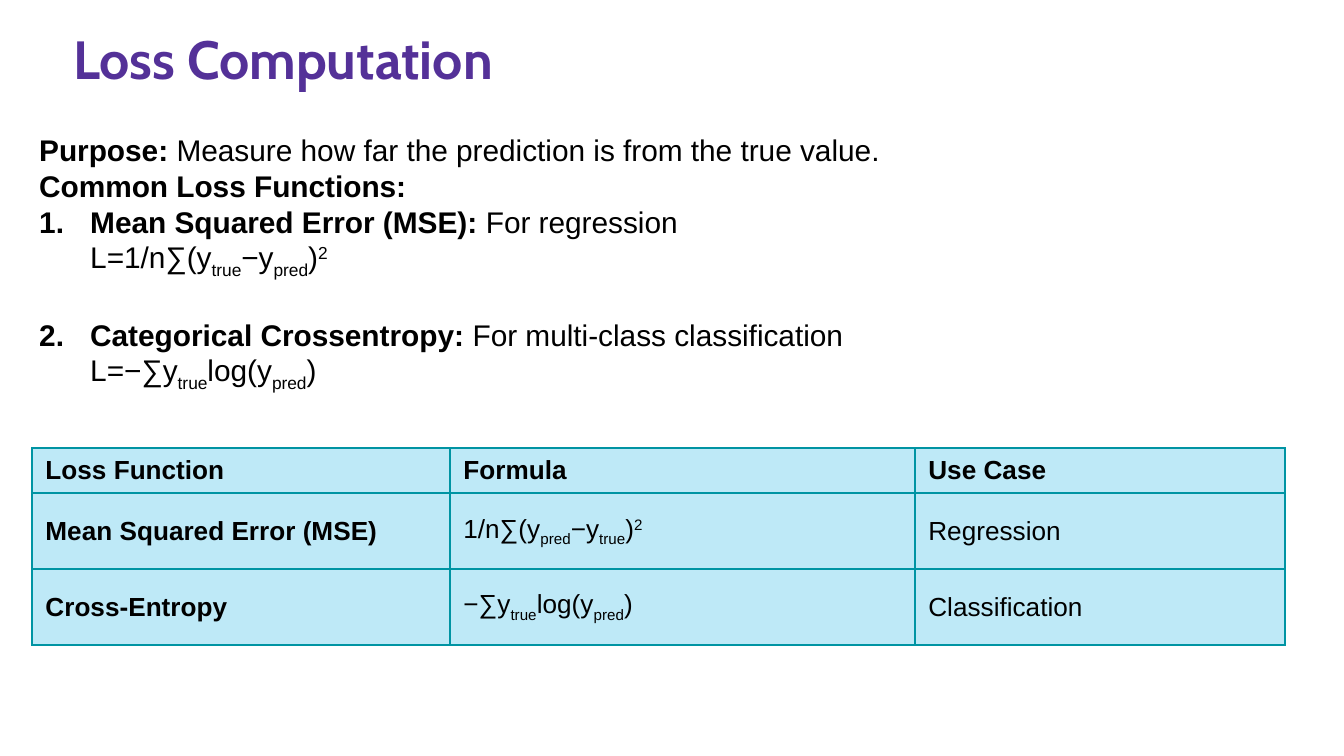
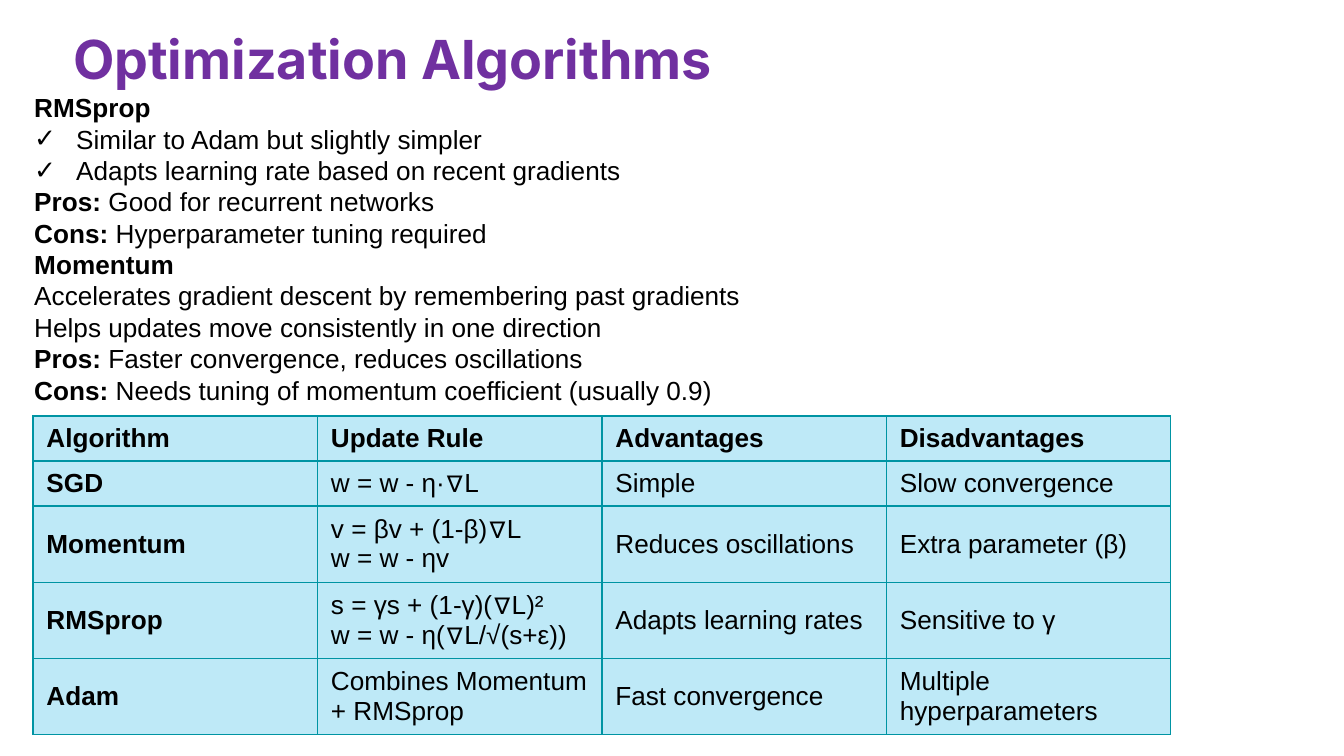
from lxml.etree import SubElement
from pptx import Presentation
from pptx.dml.color import RGBColor
from pptx.enum.text import MSO_ANCHOR, MSO_AUTO_SIZE, PP_ALIGN
from pptx.oxml.ns import qn
from pptx.util import Emu, Pt

PX_PER_INCH = 134.4
COLORS = {
    "background": "FFFFFF",
    "text": "000000",
    "loss_title": "543198",
    "optimizer_title": "7030A0",
    "cell": "BEE9F7",
    "border": "0094A3",
}
BODY_FONT = "Arial"
TITLE_BOX = (60, 12, 1224, 93)
TITLE_SIZE = 28.8
TABLE_SIZE = 14
SHORT_ROW, TALL_ROW = 45, 76
BASELINES = {"sub": "-25000", "sup": "30000"}

SQUARED_SUM = "1/n∑(y"
MSE_LOSS = [("L=" + SQUARED_SUM, ""), ("true", "sub"), ("−y", ""),
            ("pred", "sub"), (")", ""), ("2", "sup")]
MSE_CELL = [(SQUARED_SUM, ""), ("pred", "sub"), ("−y", ""),
            ("true", "sub"), (")", ""), ("2", "sup")]
ENTROPY_CELL = [("−∑y", ""), ("true", "sub"), ("log(y", ""),
                ("pred", "sub"), (")", "")]
ENTROPY_LOSS = [("L=", "")] + ENTROPY_CELL

LOSS_NOTES = [
    {"runs": [("Purpose:", "b"), (" Measure how far the prediction is from the true value.", "")]},
    {"runs": [("Common Loss Functions:", "b")]},
    {"runs": [("Mean Squared Error (MSE):", "b"), (" For regression\n", "")] + MSE_LOSS,
     "bullet": "1."},
    {"runs": [("Categorical Crossentropy:", "b"), (" For multi-class classification\n", "")]
     + ENTROPY_LOSS, "bullet": "1.", "before": 19.5},
]
LOSS_ROWS = [
    ["Loss Function", "Formula", "Use Case"],
    ["Mean Squared Error (MSE)", MSE_CELL, "Regression"],
    ["Cross-Entropy", ENTROPY_CELL, "Classification"],
]


def pros_and_cons(pros, cons):
    return {"runs": [("Pros:", "b"), (f" {pros}\n", ""), ("Cons:", "b"), (f" {cons}", "")]}


OPTIMIZER_NOTES = [
    {"runs": [("RMSprop", "b")]},
    {"runs": [("Similar to Adam but slightly simpler", "")], "bullet": "✓"},
    {"runs": [("Adapts learning rate based on recent gradients", "")], "bullet": "✓"},
    pros_and_cons("Good for recurrent networks", "Hyperparameter tuning required"),
    {"runs": [("Momentum\n", "b"),
              ("Accelerates gradient descent by remembering past gradients\n"
               "Helps updates move consistently in one direction", "")]},
    pros_and_cons("Faster convergence, reduces oscillations",
                  "Needs tuning of momentum coefficient (usually 0.9)"),
]
OPTIMIZER_ROWS = [
    ["Algorithm", "Update Rule", "Advantages", "Disadvantages"],
    ["SGD", "w = w - η·∇L", "Simple", "Slow convergence"],
    ["Momentum", "v = βv + (1-β)∇L\nw = w - ηv", "Reduces oscillations", "Extra parameter (β)"],
    ["RMSprop", "s = γs + (1-γ)(∇L)²\nw = w - η(∇L/√(s+ε))", "Adapts learning rates",
     "Sensitive to γ"],
    ["Adam", "Combines Momentum + RMSprop", "Fast convergence", "Multiple hyperparameters"],
]


def px(length):
    return Emu(round(length * 914400 / PX_PER_INCH))


def color(key):
    return RGBColor.from_string(COLORS[key])


def add_runs(paragraph, runs, size, font=BODY_FONT, ink="text"):
    for text, style in runs:
        for index, line in enumerate(text.split("\n")):
            if index:
                paragraph.add_line_break()
            if not line:
                continue
            run = paragraph.add_run()
            run.text = line
            run.font.size = Pt(size)
            run.font.name = font
            run.font.bold = style == "b"
            run.font.color.rgb = color(ink)
            if style in BASELINES:
                run._r.get_or_add_rPr().set("baseline", BASELINES[style])


def add_bullet(paragraph, mark, indent):
    properties = paragraph._p.get_or_add_pPr()
    properties.set("marL", str(px(indent)))
    properties.set("indent", str(-px(indent)))
    bullet_color = SubElement(properties, qn("a:buClr"))
    SubElement(bullet_color, qn("a:srgbClr"), val=COLORS["text"])
    SubElement(properties, qn("a:buFont"), typeface=BODY_FONT)
    if mark == "1.":
        SubElement(properties, qn("a:buAutoNum"), type="arabicPeriod")
    else:
        SubElement(properties, qn("a:buChar"), char=mark)


def place_title(slide, text, font, ink):
    title = slide.shapes.title
    title.left, title.top, title.width, title.height = map(px, TITLE_BOX)
    frame = title.text_frame
    frame.auto_size = MSO_AUTO_SIZE.NONE
    frame.word_wrap = True
    frame.vertical_anchor = MSO_ANCHOR.TOP
    frame.margin_left = frame.margin_right = px(13)
    frame.margin_top = frame.margin_bottom = px(14)
    paragraph = frame.paragraphs[0]
    paragraph.alignment = PP_ALIGN.LEFT
    add_runs(paragraph, [(text, "b")], TITLE_SIZE, font, ink)


def place_notes(slide, box, notes, size, indent):
    frame = slide.shapes.add_textbox(*map(px, box)).text_frame
    frame.word_wrap = True
    frame.auto_size = MSO_AUTO_SIZE.SHAPE_TO_FIT_TEXT
    for index, note in enumerate(notes):
        paragraph = frame.add_paragraph() if index else frame.paragraphs[0]
        if "bullet" in note:
            add_bullet(paragraph, note["bullet"], indent)
        if "before" in note:
            paragraph.space_before = Pt(note["before"])
        add_runs(paragraph, note["runs"], size)


def style_cell(cell):
    properties = cell._tc.get_or_add_tcPr()
    for side in ("lnL", "lnR", "lnT", "lnB"):
        border = SubElement(properties, qn(f"a:{side}"), w=str(Pt(0.75)))
        border_fill = SubElement(border, qn("a:solidFill"))
        SubElement(border_fill, qn("a:srgbClr"), val=COLORS["border"])
    cell.fill.solid()
    cell.fill.fore_color.rgb = color("cell")
    cell.vertical_anchor = MSO_ANCHOR.MIDDLE


def place_comparison(slide, left, top, widths, heights, rows):
    table = slide.shapes.add_table(
        len(rows), len(widths), px(left), px(top), px(sum(widths)), px(sum(heights))).table
    table.horz_banding = False
    for column, width in zip(table.columns, widths):
        column.width = px(width)
    for row_index, (row, height) in enumerate(zip(rows, heights)):
        table.rows[row_index].height = px(height)
        for column_index, content in enumerate(row):
            cell = table.cell(row_index, column_index)
            style_cell(cell)
            if isinstance(content, str):
                heading = row_index == 0 or column_index == 0
                content = [(content, "b" if heading else "")]
            add_runs(cell.text_frame.paragraphs[0], content, TABLE_SIZE)


def add_slide(deck):
    slide = deck.slides.add_slide(deck.slide_layouts[5])
    slide.background.fill.solid()
    slide.background.fill.fore_color.rgb = color("background")
    return slide


def build_loss_slide(deck):
    slide = add_slide(deck)
    place_title(slide, "Loss Computation", "Cabin", "loss_title")
    place_notes(slide, (26, 125, 1047, 304), LOSS_NOTES, 16, 51)
    place_comparison(slide, 32, 448, [418, 465, 370],
                     [SHORT_ROW] + [TALL_ROW] * 2, LOSS_ROWS)


def build_optimizer_slide(deck):
    slide = add_slide(deck)
    place_title(slide, "Optimization Algorithms", "Inter", "optimizer_title")
    place_notes(slide, (21, 85, 1290, 394), OPTIMIZER_NOTES, 14, 42)
    columns = len(OPTIMIZER_ROWS[0])
    place_comparison(slide, 33, 416, [1138 / columns] * columns,
                     [SHORT_ROW] * 2 + [TALL_ROW] * 3, OPTIMIZER_ROWS)


def main():
    deck = Presentation()
    deck.slide_width, deck.slide_height = px(1344), px(756)
    build_loss_slide(deck)
    build_optimizer_slide(deck)
    deck.save("out.pptx")


if __name__ == "__main__":
    main()
